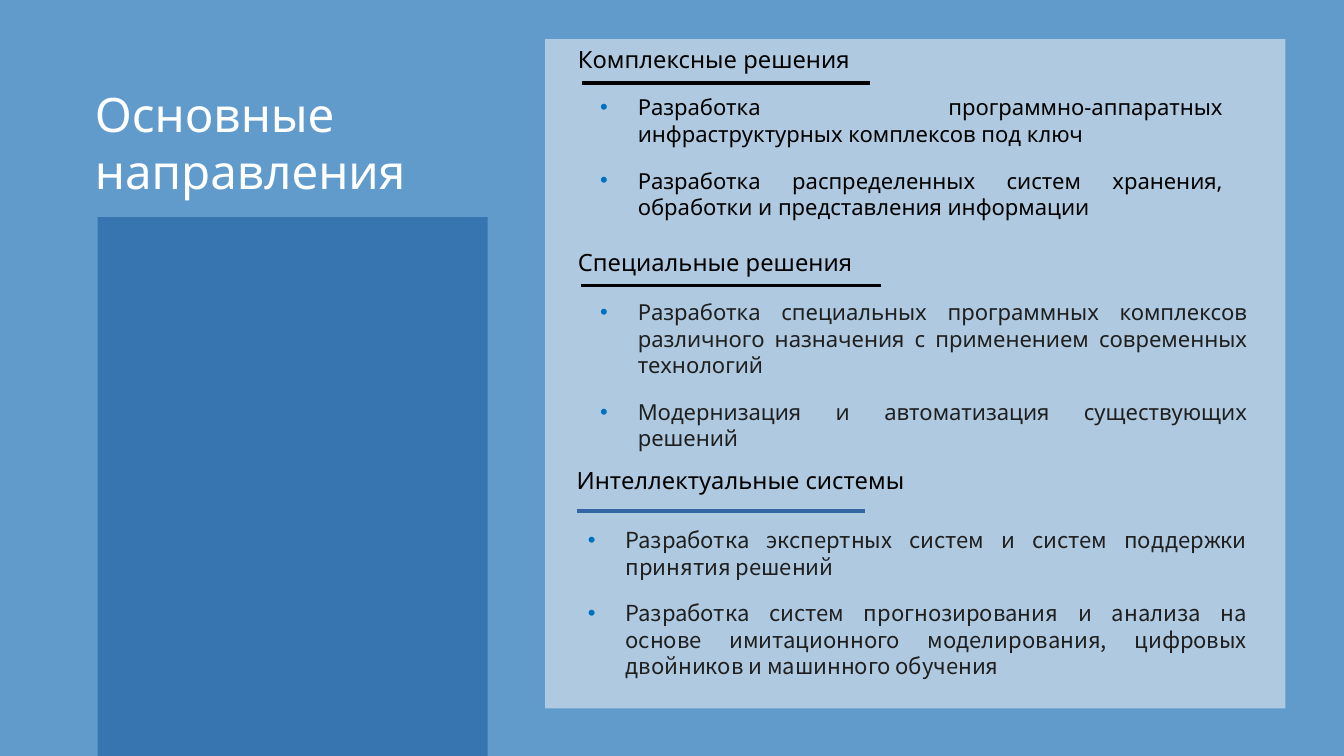
from lxml import etree
from pptx import Presentation
from pptx.dml.color import RGBColor
from pptx.enum.shapes import MSO_CONNECTOR, MSO_SHAPE
from pptx.enum.text import MSO_ANCHOR, MSO_AUTO_SIZE, PP_ALIGN
from pptx.oxml.ns import qn
from pptx.util import Inches, Pt

RECTANGLE = MSO_SHAPE.RECTANGLE
STRAIGHT = MSO_CONNECTOR.STRAIGHT
TOP = MSO_ANCHOR.TOP
GROW = MSO_AUTO_SIZE.SHAPE_TO_FIT_TEXT
JUSTIFY = PP_ALIGN.JUSTIFY

COLORS = {
    "background": "619BCB",
    "panel": "F2F2F2",
    "block": "3775B1",
    "white": "FFFFFF",
    "black": "000000",
    "dark": "1F1F1F",
    "bullet": "0070C0",
    "rule": "3465A4",
}

# Each section: heading box, underline, bullet box, font, colours, wording
SECTIONS = [
    {
        "heading": "Комплексные решения",
        "heading_box": (4.64, 0.32, 2.6, 0.36),
        "rule": (4.77, 7.13, 0.68), "rule_color": "black",
        "list_box": (4.81, 0.71, 5.32, 1.15),
        "font": "Noto Sans", "color": "black",
        "items": [
            "Разработка программно-аппаратных инфраструктурных комплексов под ключ",
            "Разработка распределенных систем хранения, обработки и представления информации",
        ],
    },
    {
        "heading": "Специальные решения",
        "heading_box": (4.64, 1.98, 2.6, 0.36),
        "rule": (4.76, 7.22, 2.34), "rule_color": "black",
        "list_box": (4.81, 2.39, 5.52, 1.15),
        "font": "Noto Sans", "color": "dark",
        "items": [
            "Разработка специальных программных комплексов различного назначения "
            "с применением современных технологий",
            "Модернизация и автоматизация существующих решений",
        ],
    },
    {
        "heading": "Интеллектуальные системы",
        "heading_box": (4.63, 3.77, 3.47, 0.41),
        "rule": (4.73, 7.09, 4.19), "rule_color": "rule",
        "list_box": (4.71, 4.26, 5.62, 1.36),
        "font": "Noto Sans CJK JP", "color": "dark",
        "items": [
            "Разработка экспертных систем и систем поддержки принятия решений",
            "Разработка систем прогнозирования и анализа на основе имитационного "
            "моделирования, цифровых двойников и машинного обучения",
        ],
    },
]


class SlideBuilder:
    def __init__(self, slide):
        self.slide = slide
        self.font = "Noto Sans"

    def color(self, name):
        return RGBColor.from_string(COLORS[name])

    def background(self, color):
        fill = self.slide.background.fill
        fill.solid()
        fill.fore_color.rgb = self.color(color)

    def rectangle(self, box, color, opacity=100):
        shape = self.slide.shapes.add_shape(RECTANGLE, *map(Inches, box))
        shape.shadow.inherit = False
        shape.fill.solid()
        shape.fill.fore_color.rgb = self.color(color)
        shape.line.fill.background()
        if opacity < 100:
            color_element = shape.fill._xPr.find(f".//{qn('a:srgbClr')}")
            alpha = etree.SubElement(color_element, qn("a:alpha"))
            alpha.set("val", str(opacity * 1000))

    def text_frame(self, box, margin_x, margin_y):
        frame = self.slide.shapes.add_textbox(*map(Inches, box)).text_frame
        frame.word_wrap = True
        frame.vertical_anchor = TOP
        frame.margin_left = frame.margin_right = Inches(margin_x)
        frame.margin_top = frame.margin_bottom = Inches(margin_y)
        return frame

    def style(self, paragraph, size, color, font):
        paragraph.font.size = Pt(size)
        paragraph.font.name = font
        paragraph.font.color.rgb = self.color(color)

    def text(self, box, wording, size, color):
        paragraph = self.text_frame(box, 0.1, 0.05).paragraphs[0]
        paragraph.text = wording
        self.style(paragraph, size, color, self.font)

    def line(self, left, right, y, color):
        connector = self.slide.shapes.add_connector(
            STRAIGHT, Inches(left), Inches(y), Inches(right), Inches(y))
        connector.line.color.rgb = self.color(color)
        connector.line.width = Pt(0)
        etree.SubElement(connector._element.spPr, qn("a:effectLst"))

    def bullet(self, paragraph):
        properties = paragraph._p.get_or_add_pPr()
        properties.set("marL", str(Inches(0.31)))
        properties.set("indent", str(Inches(-0.31)))
        bullet_color = etree.SubElement(properties, qn("a:buClr"))
        etree.SubElement(bullet_color, qn("a:srgbClr")).set("val", COLORS["bullet"])
        etree.SubElement(properties, qn("a:buFont")).set("typeface", "Arial")
        etree.SubElement(properties, qn("a:buChar")).set("char", "•")

    def bullet_list(self, box, items, color, font):
        frame = self.text_frame(box, 0.11, 0.06)
        frame.auto_size = GROW
        for index, item in enumerate(items):
            paragraph = frame.add_paragraph() if index else frame.paragraphs[0]
            paragraph.text = item
            self.bullet(paragraph)
            paragraph.alignment = JUSTIFY
            paragraph.space_before = Pt(6 if index else 0)
            paragraph.space_after = Pt(6)
            self.style(paragraph, 13, color, font)


def main():
    presentation = Presentation()
    presentation.slide_width = Inches(11.02)
    presentation.slide_height = Inches(6.2)
    builder = SlideBuilder(presentation.slides.add_slide(presentation.slide_layouts[6]))

    # Background, panel and title
    builder.background("background")
    builder.rectangle((4.47, 0.32, 6.07, 5.49), "panel", opacity=54)
    builder.rectangle((0.8, 1.78, 3.2, 4.42), "block")
    builder.text((0.68, 0.65, 3.2, 1.01), "Основные направления", 28, "white")

    # Sections with underlined headings
    for section in SECTIONS:
        builder.text(section["heading_box"], section["heading"], 14, "black")
        builder.line(*section["rule"], section["rule_color"])
        builder.bullet_list(section["list_box"], section["items"],
                            section["color"], section["font"])

    presentation.save("out.pptx")


if __name__ == "__main__":
    main()
